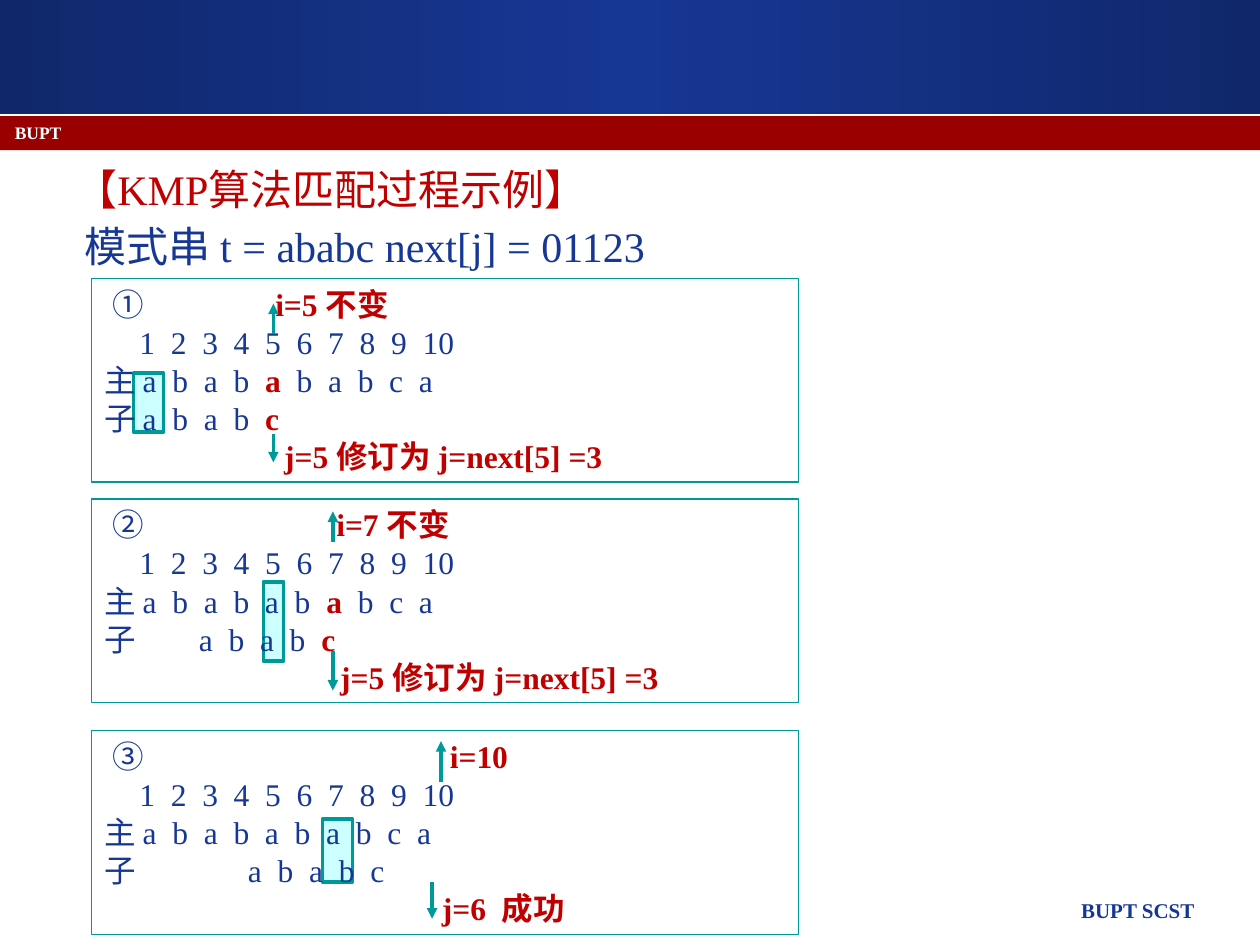
"""Build the KMP matching example slide."""
from copy import deepcopy
from lxml.etree import SubElement
from pptx import Presentation
from pptx.dml.color import RGBColor as RGB
from pptx.enum.shapes import MSO_CONNECTOR as CONN, MSO_SHAPE as SHAPE
from pptx.enum.text import MSO_ANCHOR as ANCHOR, PP_ALIGN as ALIGN
from pptx.oxml.ns import qn
from pptx.util import Cm, Pt

COLORS = {"navy": "10276A", "blue": "163794", "band": "990000", "red": "C00000",
          "teal": "009999", "aqua": "CCFFFF", "white": "FFFFFF"}
SERIF, SANS, CJK = "Times New Roman", "Arial", "Noto Sans CJK SC"


def add_run(p, text, size=18, color="blue", bold=False, font=SERIF):
    r = p.add_run()
    r.text = text
    r.font.size, r.font.bold, r.font.name = Pt(size), bold, font
    r.font.color.rgb = RGB.from_string(COLORS[color])


def add_rect(left, top, width, height, fill=None, line=None, weight=0.75):
    sp = s.shapes.add_shape(SHAPE.RECTANGLE, Cm(left), Cm(top), Cm(width), Cm(height))
    sp.shadow.inherit = False
    if fill:
        sp.fill.solid()
        sp.fill.fore_color.rgb = RGB.from_string(COLORS[fill])
    else:
        sp.fill.background()
    if line:
        sp.line.color.rgb = RGB.from_string(COLORS[line])
        sp.line.width = Pt(weight)
    else:
        sp.line.fill.background()
    return sp


prs = Presentation()
prs.slide_width, prs.slide_height = Cm(25.4), Cm(19.05)
s = prs.slides.add_slide(prs.slide_layouts[6])

header = add_rect(0, 0, 25.4, 2.31)
header.fill.gradient()
header.fill.gradient_angle = 0
stops = header.fill._fill._gradFill.find(qn("a:gsLst"))
stops.append(deepcopy(stops[-1]))
for stop, color, position in zip(header.fill.gradient_stops, ("navy", "blue", "navy"), (0, 0.5, 1)):
    stop.color.rgb = RGB.from_string(COLORS[color])
    stop.position = position
add_rect(0, 2.34, 25.4, 0.69, fill="band")

for left, top, width, height in ((2.69, 7.52, 0.61, 1.19), (6.5, 16.51, 0.61, 1.27),
                                 (5.31, 11.73, 0.41, 1.6)):
    add_rect(left, top, width, height, "aqua", "teal", 2)

labels = (("BUPT SCST", 10.69, 17.96, 13.64, 0.89, 12, "blue", ALIGN.RIGHT),
          ("BUPT", 0.05, 2.34, 23.5, 0.64, 10, "white", ALIGN.LEFT))
for text, left, top, width, height, size, color, align in labels:
    tf = s.shapes.add_textbox(Cm(left), Cm(top), Cm(width), Cm(height)).text_frame
    tf.word_wrap = True
    tf.paragraphs[0].alignment = align
    add_run(tf.paragraphs[0], text, size=size, color=color, bold=True)

tf = s.shapes.add_textbox(Cm(1.27), Cm(3.2), Cm(22.86), Cm(14.58)).text_frame
tf.word_wrap = True
p = tf.paragraphs[0]
p.line_spacing = Pt(28)
add_run(p, "【KMP算法匹配过程示例】", size=24, color="red")
p = tf.add_paragraph()
p.line_spacing, p.space_before = Pt(28), Pt(4.8)
p._p.get_or_add_pPr().set("marL", str(Cm(0.19)))
add_run(p, "模式串 t = ababc next[j] = 01123", size=24)

panels = (
    (5.61, "①", "i=5 不变", 3.45, ("a  b  a  b  ", "a", "  b  a  b  c  a"),
     " ", 0, ("a  b  a  b  ", "c"), "j=5 修订为 j=next[5] =3", 3.63),
    (10.06, "②", "i=7 不变", 4.68, ("a  b  a  b  a  b  ", "a", "  b  c  a"),
     "\t", 1.91, ("a  b  a  b  ", "c"), "j=5 修订为 j=next[5] =3", 4.76),
    (14.73, "③", "i=10", 6.97, ("a  b  a  b  a  b  a  b  c  a",),
     "\t", 2.9, ("a  b  a  b  c",), "j=6  成功", 6.81),
)
for top, number, i_note, i_tab, main, gap, sub_tab, sub, j_note, j_tab in panels:
    tf = add_rect(1.85, top, 14.25, 4.11, line="teal").text_frame
    tf.word_wrap, tf.vertical_anchor = True, ANCHOR.TOP
    rows = (
        ((0.16, i_tab), (("\t" + number + "\t", "blue", CJK), (i_note, "red", SERIF))),
        ((0.71,), (("\t1  2  3  4  5  6  7  8  9  10", "blue", SERIF),)),
        ((), (("主 ", "blue", SANS), *zip(main, ("blue", "red", "blue"), (SERIF,) * 3))),
        ((sub_tab,) if sub_tab else (),
         (("子" + gap, "blue", SANS), *zip(sub, ("blue", "red"), (SERIF,) * 2))),
        ((j_tab,), (("\t" + j_note, "red", SERIF),)),
    )
    for n, (tabs, runs) in enumerate(rows):
        p = tf.add_paragraph() if n else tf.paragraphs[0]
        if tabs:
            tab_list = SubElement(p._p.get_or_add_pPr(), qn("a:tabLst"))
            for tab in tabs:
                SubElement(tab_list, qn("a:tab"), pos=str(Cm(tab)), algn="l")
        p.alignment, p.line_spacing = ALIGN.LEFT, Pt(21.75)
        for text, color, font in runs:
            add_run(p, text, color=color, bold=color == "red", font=font)

for x, start, end in ((5.51, 6.73, 6.12), (5.51, 8.74, 9.32), (6.71, 10.92, 10.31),
                      (6.71, 13.13, 13.92), (8.89, 15.77, 14.94), (8.71, 17.78, 18.52)):
    arrow = s.shapes.add_connector(CONN.STRAIGHT, Cm(x), Cm(start), Cm(x), Cm(end))
    arrow.line.color.rgb = RGB.from_string(COLORS["teal"])
    arrow.line.width = Pt(2)
    SubElement(arrow.line._get_or_add_ln(), qn("a:tailEnd"), type="triangle")
    SubElement(arrow._element.spPr, qn("a:effectLst"))

prs.save("out.pptx")
